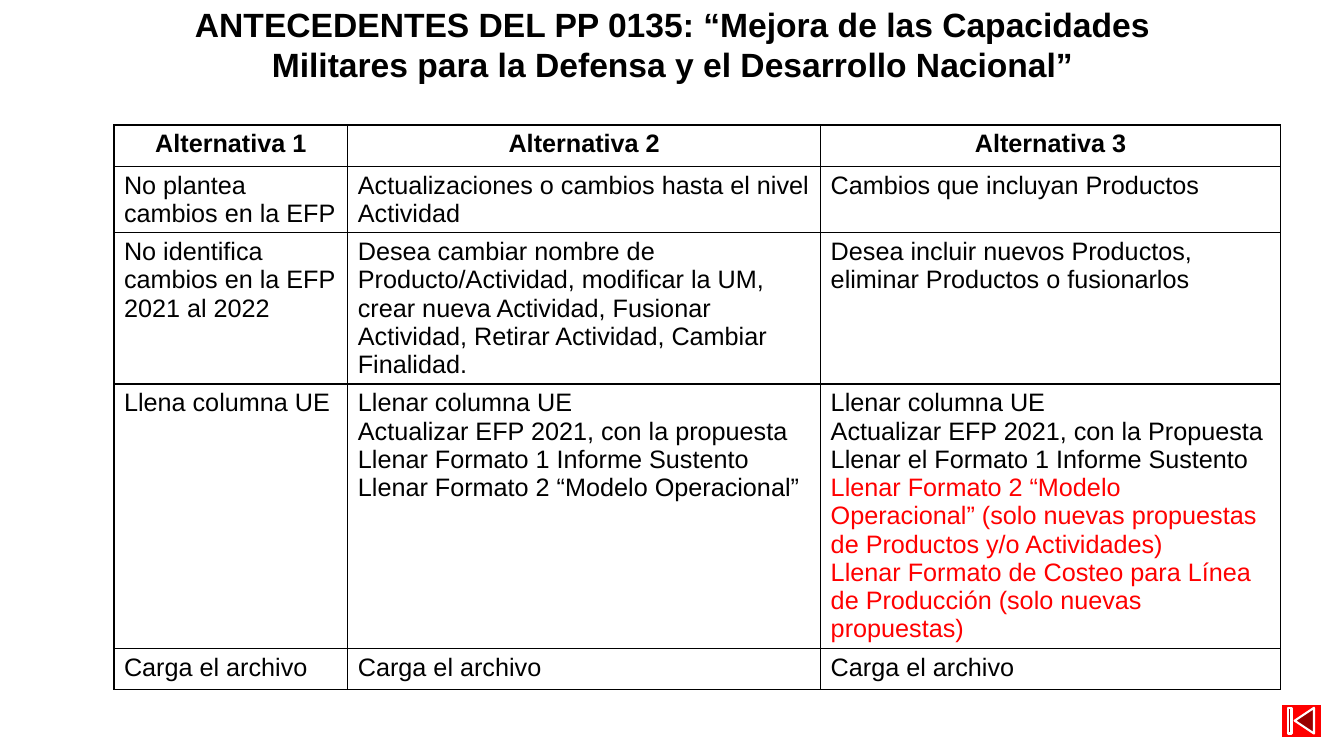
from lxml import etree
from pptx import Presentation
from pptx import util as u
from pptx.dml.color import RGBColor
from pptx.enum import shapes, text
from pptx.oxml import ns

PX = 9144


def px(length):
    return u.Emu(length * PX)


def color(code):
    return RGBColor.from_string(code)


deck = Presentation()
deck.slide_width, deck.slide_height = px(1333), px(750)
slide = deck.slides.add_slide(deck.slide_layouts[5])

title = slide.shapes.title
title.left, title.top, title.width, title.height = px(171), px(-1), px(992), px(55)
heading = title.text_frame
heading.text = ("ANTECEDENTES DEL PP 0135: “Mejora de las Capacidades "
                "Militares para la Defensa y el Desarrollo Nacional”")
heading.word_wrap = True
heading.auto_size = text.MSO_AUTO_SIZE.NONE
heading.vertical_anchor = text.MSO_ANCHOR.TOP
heading_line = heading.paragraphs[0]
heading_line.alignment = text.PP_ALIGN.CENTER
heading_line.font.name = "Arial"
heading_line.font.size = u.Pt(24)
heading_line.font.bold = True
heading_line.font.color.rgb = color("000000")

alternatives = [
    ["Alternativa 1", "Alternativa 2", "Alternativa 3"],
    ["No plantea cambios en la EFP",
     "Actualizaciones o cambios hasta el nivel Actividad",
     "Cambios que incluyan Productos"],
    ["No identifica cambios en la EFP 2021 al 2022",
     "Desea cambiar nombre de Producto/Actividad, modificar la UM, crear nueva "
     "Actividad, Fusionar Actividad, Retirar Actividad, Cambiar Finalidad.",
     "Desea incluir nuevos Productos, eliminar Productos o fusionarlos"],
    ["Llena columna UE",
     "Llenar columna UE\n"
     "Actualizar EFP 2021, con la propuesta\n"
     "Llenar Formato 1 Informe Sustento\n"
     "Llenar Formato 2 “Modelo Operacional”",
     "Llenar columna UE\n"
     "Actualizar EFP 2021, con la Propuesta\n"
     "Llenar el Formato 1 Informe Sustento\n"
     "Llenar Formato 2 “Modelo Operacional” (solo nuevas propuestas de Productos y/o Actividades)\n"
     "Llenar Formato de Costeo para Línea de Producción (solo nuevas propuestas)"],
    ["Carga el archivo"] * 3,
]
column_widths = [232, 469, 456]
row_heights = [41, 66, 150, 262, 41]

comparison = slide.shapes.add_table(
    len(row_heights), len(column_widths), px(113), px(124),
    px(sum(column_widths)), px(sum(row_heights))).table
for column, width in zip(comparison.columns, column_widths):
    column.width = px(width)
for row, height in zip(comparison.rows, row_heights):
    row.height = px(height)

for r, steps in enumerate(alternatives):
    for c, wording in enumerate(steps):
        cell = comparison.cell(r, c)
        cell.text = wording
        for p, paragraph in enumerate(cell.text_frame.paragraphs):
            paragraph.alignment = text.PP_ALIGN.LEFT if r else text.PP_ALIGN.CENTER
            paragraph.font.name = "Arial"
            paragraph.font.size = u.Pt(18)
            paragraph.font.bold = r == 0
            paragraph.font.color.rgb = color("FF0000" if p >= 3 and c == 2 else "000000")
        properties = cell._tc.get_or_add_tcPr()
        for side in ("a:lnL", "a:lnR", "a:lnT", "a:lnB"):
            border = etree.SubElement(properties, ns.qn(side), w=str(u.Pt(1)))
            ink = etree.SubElement(border, ns.qn("a:solidFill"))
            etree.SubElement(ink, ns.qn("a:srgbClr"), val="000000")
        cell.fill.solid()
        cell.fill.fore_color.rgb = color("FFFFFF")

back_button = slide.shapes.add_shape(
    shapes.MSO_SHAPE.ACTION_BUTTON_BEGINNING, px(1270), px(698), px(41), px(34))
back_button.shadow.inherit = False
back_button.fill.solid()
back_button.fill.fore_color.rgb = color("FF0000")
back_button.line.color.rgb = color("FFFFFF")
back_button.line.width = u.Pt(1.5)

deck.save("out.pptx")
